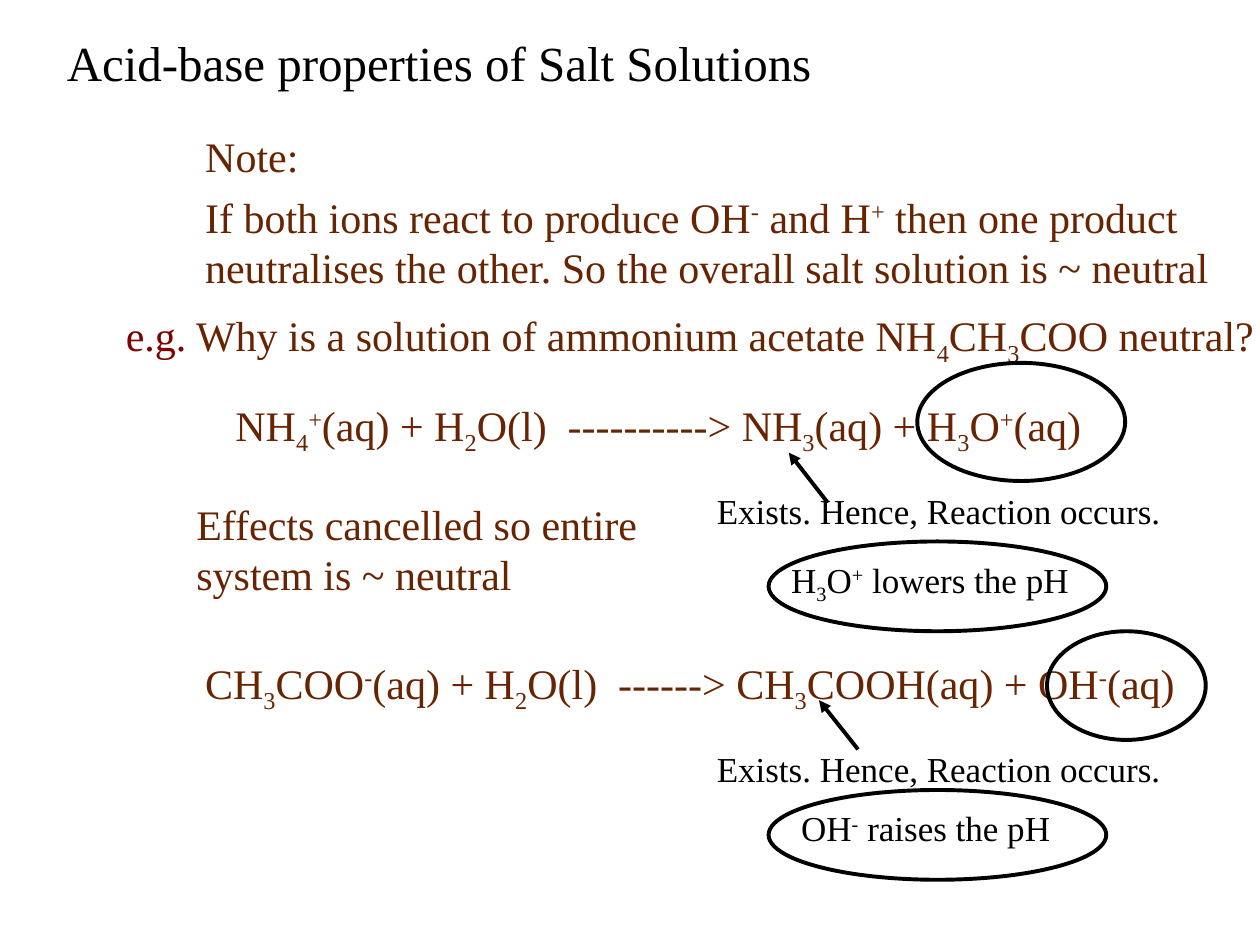
from dataclasses import dataclass
from lxml import etree
from pptx import Presentation
from pptx.dml.color import RGBColor
from pptx.enum.shapes import MSO_CONNECTOR, MSO_SHAPE
from pptx.enum.text import MSO_ANCHOR, PP_ALIGN
from pptx.oxml.ns import qn
from pptx.util import Inches, Pt

OVAL, STRAIGHT = MSO_SHAPE.OVAL, MSO_CONNECTOR.STRAIGHT
TOP, LEFT = MSO_ANCHOR.TOP, PP_ALIGN.LEFT


@dataclass(frozen=True)
class Theme:
    font: str = "Times New Roman"
    ink: RGBColor = RGBColor(0, 0, 0)
    brown: RGBColor = RGBColor(0x68, 0x23, 0)
    red: RGBColor = RGBColor(0x80, 0, 0)
    head: int = 28
    body: int = 24
    small: int = 20
    line: float = 2.25


T = Theme()

# Content: "_" lowers and "^" raises the next character.
# Places are percent of the slide: left, top, width, height.
TITLE = ("Acid-base properties of Salt Solutions", (4.3, 2.8, 91.7, 7.6))
ASK_LEAD = "e.g."
BODY = [
    ("Note:", (15.3, 13.2, 77.2, 6.7)),
    ("If both ions react to produce OH^- and H^+ then one product neutralises "
     "the other. So the overall salt solution is ~ neutral", (15.3, 19.6, 84.7, 12)),
    ("e.g. Why is a solution of ammonium acetate NH_4CH_3COO neutral?",
     (9, 32.1, 93.3, 7.5)),
    ("NH_4^+(aq) + H_2O(l)  ----------> NH_3(aq) + H_3O^+(aq)",
     (17.7, 41.6, 76.4, 7.5)),
    ("Effects cancelled so entire system is ~ neutral", (14.6, 52.1, 37.8, 12)),
    ("CH_3COO^-(aq) + H_2O(l)  ------> CH_3COOH(aq) + OH^-(aq)",
     (15.3, 68.9, 84.7, 7.5)),
]
EXISTS = "Exists. Hence, Reaction occurs."
NOTES = [
    (EXISTS, (55.9, 51.1, 44.1, 5.9)),
    ("H_3O^+ lowers the pH", (61.8, 58.4, 30.3, 6.4)),
    (EXISTS, (55.9, 78.4, 44.1, 5.9)),
    ("OH^- raises the pH", (62.6, 84.7, 30.4, 5.9)),
]
RINGS = [
    (72.8, 38.4, 16.5, 12.5), (83.1, 66.8, 12.6, 11.5),
    (61, 57.3, 26.8, 9.5), (61, 83.6, 26.8, 9.5),
]
ARROWS = [(65.7, 53.2, 62.6, 47.9), (68.1, 79.3, 65, 74.1)]

SHIFT = {"_": "-25000", "^": "30000"}

deck = Presentation()
deck.slide_width, deck.slide_height = Inches(10), Inches(7.5)
slide = deck.slides.add_slide(deck.slide_layouts[5])
shapes = slide.shapes


def place(box):
    """Turn x, y pairs in percent into slide lengths."""
    sides = (deck.slide_width, deck.slide_height) * 2
    return [int(part * side / 100) for part, side in zip(box, sides)]


def split(text):
    """Cut marked text into (text, baseline) parts."""
    parts, plain, chars = [], "", iter(text)
    for char in chars:
        if char in SHIFT:
            if plain:
                parts.append((plain, None))
            parts.append((next(chars), SHIFT[char]))
            plain = ""
        else:
            plain += char
    return parts + [(plain, None)] if plain else parts


def write(shape, text, size, color):
    frame = shape.text_frame
    frame.word_wrap = True
    frame.vertical_anchor = TOP
    para = frame.paragraphs[0]
    para.alignment = LEFT
    para.font.name, para.font.size = T.font, Pt(size)
    para.font.color.rgb = color
    if text.startswith(ASK_LEAD):
        lead = para.add_run()
        lead.text = ASK_LEAD
        lead.font.color.rgb = T.red
        text = text[len(ASK_LEAD):]
    for part, base in split(text):
        run = para.add_run()
        run.text = part
        if base:
            run.font._element.set("baseline", base)


def ink(line):
    line.color.rgb = T.ink
    line.width = Pt(T.line)


# Title
text, box = TITLE
title = shapes.title
title.left, title.top, title.width, title.height = place(box)
write(title, text, T.head, T.ink)

# Explanations, equations and remarks
for group, size, color in ((BODY, T.body, T.brown), (NOTES, T.small, T.ink)):
    for text, box in group:
        write(shapes.add_textbox(*place(box)), text, size, color)

# Rings round the ions and their effects
for box in RINGS:
    ring = shapes.add_shape(OVAL, *place(box))
    ring.shadow.inherit = False
    ring.fill.background()
    ink(ring.line)

# Arrows from remark to product
for ends in ARROWS:
    arrow = shapes.add_connector(STRAIGHT, *place(ends))
    ink(arrow.line)
    props = arrow._element.spPr
    etree.SubElement(props.find(qn("a:ln")), qn("a:tailEnd"), type="triangle")
    etree.SubElement(props, qn("a:effectLst"))

deck.save("out.pptx")
